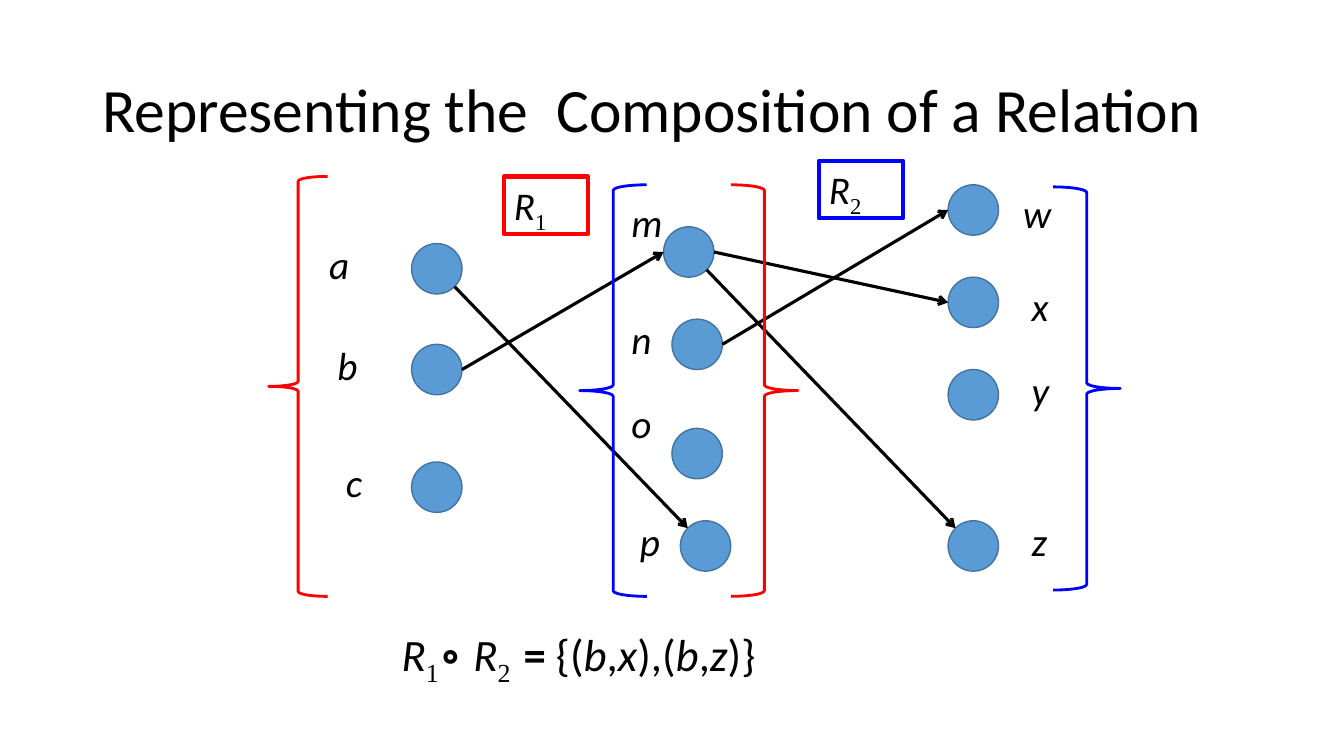
from lxml.etree import SubElement
from pptx import Presentation
from pptx.dml.color import RGBColor as Rgb
from pptx.enum.shapes import MSO_CONNECTOR as Con, MSO_SHAPE as Geo
from pptx.enum.text import MSO_ANCHOR as Anchor
from pptx.oxml.ns import qn
from pptx.util import Pt

BLACK = Rgb(0x00, 0x00, 0x00)
RED = Rgb(0xFF, 0x00, 0x00)
BLUE = Rgb(0x00, 0x00, 0xFF)
DOT = Rgb(0x5B, 0x9B, 0xD5)
RIM = Rgb(0x43, 0x73, 0x9E)
SANS, SERIF = "Calibri", "Times New Roman"

TITLE = "Representing the  Composition of a Relation"
NODES = {
    "a": ((392, 232), (304, 224)),
    "b": ((392, 328), (312, 320)),
    "c": ((392, 440), (320, 432)),
    "m": ((632, 216), (592, 184)),
    "n": ((640, 304), (592, 296)),
    "o": ((640, 408), (592, 376)),
    "p": ((648, 496), (600, 488)),
    "w": ((903, 176), (965, 176)),
    "x": ((903, 264), (973, 264)),
    "y": ((903, 352), (973, 344)),
    "z": ((903, 496), (973, 488)),
}
ARROWS = [
    ("b", "m", "side"),
    ("a", "p", "slant"),
    ("n", "w", "side"),
    ("m", "x", "side"),
    ("m", "z", "slant"),
]
TAGS = [("1", 480, 168, RED), ("2", 780, 153, BLUE)]
BRACES = [
    (Geo.RIGHT_BRACE, 696, 176, 64, 392, RED),
    (Geo.LEFT_BRACE, 256, 168, 56, 400, RED),
    (Geo.RIGHT_BRACE, 1003, 178, 64, 384, BLUE),
    (Geo.LEFT_BRACE, 552, 176, 64, 392, BLUE),
]
RESULT = [
    ("R", "i"), ("1", "sub"), ("∘ ", "op"), ("R", "i"), ("2  ", "sub"),
    ("= ", "b"), ("{(", ""), ("b", "i"), (",", ""), ("x", "i"), ("),(", ""),
    ("b", "i"), (",", ""), ("z", "i"), (")}", ""),
]
SIZE = 48
ENDS = {"side": ((48, 24), (0, 24)), "slant": ((41, 41), (7, 7))}


def px(*nums):
    return [round(n * 9525) for n in nums]


def write(box, runs, size):
    frame = box.text_frame
    frame.word_wrap = True
    for text, kind in runs:
        run = frame.paragraphs[0].add_run()
        run.text = text
        font = run.font
        font.size = Pt(size)
        font.name = SERIF if kind in ("sub", "op") else SANS
        font.color.rgb = BLACK
        font.italic = kind == "i"
        font.bold = kind in ("b", "op")
        if kind == "sub":
            font._element.set("baseline", "-25000")
    return frame


def label(place, runs, size):
    box = slide.shapes.add_textbox(*px(*place))
    write(box, runs, size)
    return box


def edge(item, color, width):
    item.line.color.rgb = color
    item.line.width = Pt(width)


def form(kind, place, color, width):
    item = slide.shapes.add_shape(kind, *px(*place))
    item.shadow.inherit = False
    edge(item, color, width)
    return item


def arrow(start, end, mode):
    spots = [n + d for name, gap in zip((start, end), ENDS[mode])
             for n, d in zip(NODES[name][0], gap)]
    item = slide.shapes.add_connector(Con.STRAIGHT, *px(*spots))
    edge(item, BLACK, 2.25)
    SubElement(item.line._get_or_add_ln(), qn("a:tailEnd"), type="arrow")
    SubElement(item._element.spPr, qn("a:effectLst"))


deck = Presentation()
deck.slide_width, deck.slide_height = px(1280, 720)
slide = deck.slides.add_slide(deck.slide_layouts[6])

head = label((88, 38, 1104, 139), [(TITLE, "")], 44).text_frame
head.vertical_anchor = Anchor.MIDDLE
head.paragraphs[0].line_spacing = 0.9

for name, (dot, spot) in NODES.items():
    disc = form(Geo.OVAL, (*dot, SIZE, SIZE), RIM, 1)
    disc.fill.solid()
    disc.fill.fore_color.rgb = DOT
    label((*spot, 40, 55), [(name, "i")], 28)

for num, left, top, color in TAGS:
    edge(label((left, top, 80, 55), [("R", "i"), (num, "sub")], 28), color, 3)

for link in ARROWS:
    arrow(*link)

label((373, 592, 491, 61), RESULT, 32)

for kind, *place, color in BRACES:
    form(kind, place, color, 2).fill.background()

deck.save("out.pptx")
